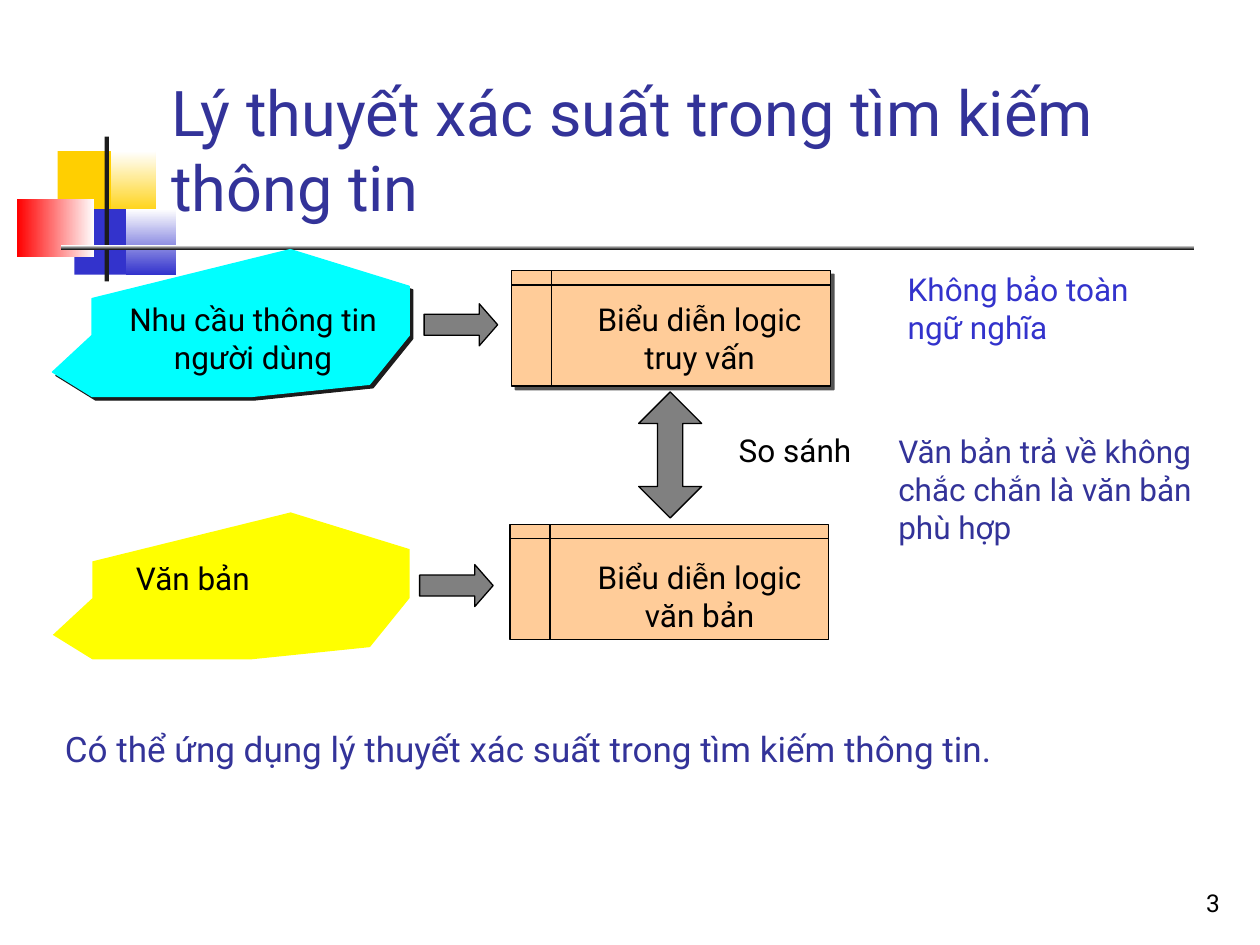
from dataclasses import dataclass
from typing import NamedTuple

import pptx
import pptx.dml.color
import pptx.enum.shapes
import pptx.enum.text
import pptx.oxml
import pptx.util

Pt = pptx.util.Pt
Align = pptx.enum.text.PP_ALIGN
Anchor = pptx.enum.text.MSO_ANCHOR
Preset = pptx.enum.shapes.MSO_SHAPE


@dataclass(frozen=True)
class Theme:
    font: str = "Roboto"
    title_size: float = 36
    conclusion_size: float = 20
    label_size: float = 18
    number_size: float = 14
    line_width: float = 0.75
    title: str = "333399"
    accent: str = "3333CC"
    black: str = "000000"
    white: str = "FFFFFF"
    dark: str = "1C1C1C"
    gold: str = "FFCF01"
    red: str = "FF0000"
    need: str = "00FFFF"
    document: str = "FFFF00"
    storage: str = "FFCC99"
    arrow: str = "808080"


THEME = Theme()


class Box(NamedTuple):
    left: float
    top: float
    width: float
    height: float


class Shadow(NamedTuple):
    distance: float
    opacity: int


class Ornament(NamedTuple):
    box: Box
    start: str
    end: str | None = None
    angle: float = 90


class Figure(NamedTuple):
    preset: Preset
    box: Box
    fill: str
    adjustments: tuple[float, ...] = ()
    shadow: Shadow | None = None


class Cloud(NamedTuple):
    left: float
    top: float
    fill: str
    line: str | None = None
    shadow: Shadow | None = None


class Label(NamedTuple):
    text: str
    box: Box
    color: str = THEME.black
    size: float = THEME.label_size
    align: Align = Align.LEFT
    anchor: Anchor = Anchor.TOP


ORNAMENTS = [
    Ornament(Box(33, 86.4, 34.5, 37.5), THEME.gold),
    Ornament(Box(63.4, 86.4, 25.6, 37.5), THEME.gold, THEME.white),
    Ornament(Box(42.5, 119.5, 33, 37.5), THEME.accent),
    Ornament(Box(72, 119.5, 28.8, 37.5), THEME.accent, THEME.white),
    Ornament(Box(10, 113.8, 44, 33.2), THEME.white, THEME.red, 180),
    Ornament(Box(59.8, 78, 2.4, 82.8), THEME.dark),
    Ornament(Box(34.6, 140.2, 648, 2.4), THEME.dark, THEME.white),
]

# Outline on a grid of 9 columns by 12 rows
CLOUD_GRID = [(6, 0), (1, 4), (1, 7), (0, 10), (1, 12), (5, 12),
              (8, 11), (9, 7), (9, 3)]
CLOUD_CELL = (Pt(22.65), Pt(7))
CLOUDS = [
    Cloud(30, 142.6, THEME.need, THEME.need, Shadow(2.8, 100)),
    Cloud(30.2, 292.8, THEME.document),
]

RIGHT_ARROW = (0.5, 0.438)
FIGURES = [
    Figure(Preset.FLOWCHART_INTERNAL_STORAGE, Box(291.5, 299.6, 182, 66),
           THEME.storage),
    Figure(Preset.FLOWCHART_INTERNAL_STORAGE, Box(292.4, 154.6, 182, 66),
           THEME.storage, shadow=Shadow(3, 75)),
    Figure(Preset.RIGHT_ARROW, Box(242.4, 173.6, 42, 24), THEME.arrow, RIGHT_ARROW),
    Figure(Preset.RIGHT_ARROW, Box(239.8, 322.6, 42, 24), THEME.arrow, RIGHT_ARROW),
    Figure(Preset.UP_DOWN_ARROW, Box(365, 224, 36, 72), THEME.arrow, (0.5, 0.4)),
]

LABELS = [
    Label("Lý thuyết xác suất trong tìm kiếm thông tin",
          Box(90.7, 16.6, 613.4, 115.2), THEME.title, THEME.title_size,
          anchor=Anchor.BOTTOM),
    Label("Văn bản trả về không chắc chắn là văn bản phù hợp",
          Box(506.2, 243.4, 195, 72), THEME.title),
    Label("Không bảo toàn ngữ nghĩa", Box(511.6, 151, 171.4, 50.4), THEME.accent),
    Label("Nhu cầu thông tin người dùng", Box(59.6, 168, 170, 50.4),
          align=Align.CENTER),
    Label("Văn bản", Box(70.6, 315.6, 136, 29)),
    Label("Biểu diễn logic truy vấn", Box(331.8, 168, 136, 50.4), align=Align.CENTER),
    Label("Biểu diễn logic văn bản", Box(326, 315.6, 147.6, 50.4), align=Align.CENTER),
    Label("So sánh", Box(401, 242.8, 106.6, 29), align=Align.CENTER),
    Label("Có thể ứng dụng lý thuyết xác suất trong tìm kiếm thông tin.",
          Box(30, 412, 675.4, 108), THEME.title, THEME.conclusion_size, Align.JUSTIFY),
    Label("3", Box(554.4, 491.8, 149.8, 36), size=THEME.number_size,
          align=Align.RIGHT, anchor=Anchor.BOTTOM),
]


def rgb(color: str) -> pptx.dml.color.RGBColor:
    return pptx.dml.color.RGBColor.from_string(color)


def points(box: Box) -> list[pptx.util.Length]:
    return [Pt(length) for length in box]


def paint(shape, fill: str, line: str | None, shadow: Shadow | None = None) -> None:
    """Set the fill, outline and optional offset shadow of a shape."""
    shape.shadow.inherit = False
    shape.fill.solid()
    shape.fill.fore_color.rgb = rgb(fill)
    if line:
        shape.line.color.rgb = rgb(line)
        shape.line.width = Pt(THEME.line_width)
    else:
        shape.line.fill.background()
    if shadow:
        effects = shape._element.spPr.find(pptx.oxml.ns.qn("a:effectLst"))
        effects.append(pptx.oxml.parse_xml(
            f'<a:outerShdw {pptx.oxml.ns.nsdecls("a")} blurRad="0" '
            f'dist="{Pt(shadow.distance)}" dir="2700000" algn="ctr" rotWithShape="0">'
            f'<a:srgbClr val="{THEME.dark}"><a:alpha val="{shadow.opacity * 1000}"/>'
            '</a:srgbClr></a:outerShdw>'))


def draw_ornament(slide, ornament: Ornament) -> None:
    shape = slide.shapes.add_shape(Preset.RECTANGLE, *points(ornament.box))
    paint(shape, ornament.start, None)
    if ornament.end:
        shape.fill.gradient()
        shape.fill.gradient_angle = ornament.angle
        for stop, color in zip(shape.fill.gradient_stops, (ornament.start, ornament.end)):
            stop.color.rgb = rgb(color)


def draw_cloud(slide, cloud: Cloud) -> None:
    start, *others = CLOUD_GRID
    builder = slide.shapes.build_freeform(*start, scale=CLOUD_CELL)
    builder.add_line_segments(others, close=True)
    shape = builder.convert_to_shape(Pt(cloud.left), Pt(cloud.top))
    paint(shape, cloud.fill, cloud.line, cloud.shadow)


def draw_figure(slide, figure: Figure) -> None:
    shape = slide.shapes.add_shape(figure.preset, *points(figure.box))
    for index, value in enumerate(figure.adjustments):
        shape.adjustments[index] = value
    paint(shape, figure.fill, THEME.black, figure.shadow)


def draw_label(slide, label: Label) -> None:
    text_frame = slide.shapes.add_textbox(*points(label.box)).text_frame
    text_frame.word_wrap = True
    text_frame.vertical_anchor = label.anchor
    text_frame.text = label.text
    paragraph = text_frame.paragraphs[0]
    paragraph.alignment = label.align
    font = paragraph.runs[0].font
    font.name = THEME.font
    font.size = Pt(label.size)
    font.color.rgb = rgb(label.color)


def main() -> None:
    presentation = pptx.Presentation()
    presentation.slide_width, presentation.slide_height = Pt(720), Pt(540)
    slide = presentation.slides.add_slide(presentation.slide_layouts[6])
    for draw, items in ((draw_ornament, ORNAMENTS), (draw_cloud, CLOUDS),
                        (draw_figure, FIGURES), (draw_label, LABELS)):
        for item in items:
            draw(slide, item)
    presentation.save("out.pptx")


if __name__ == "__main__":
    main()
